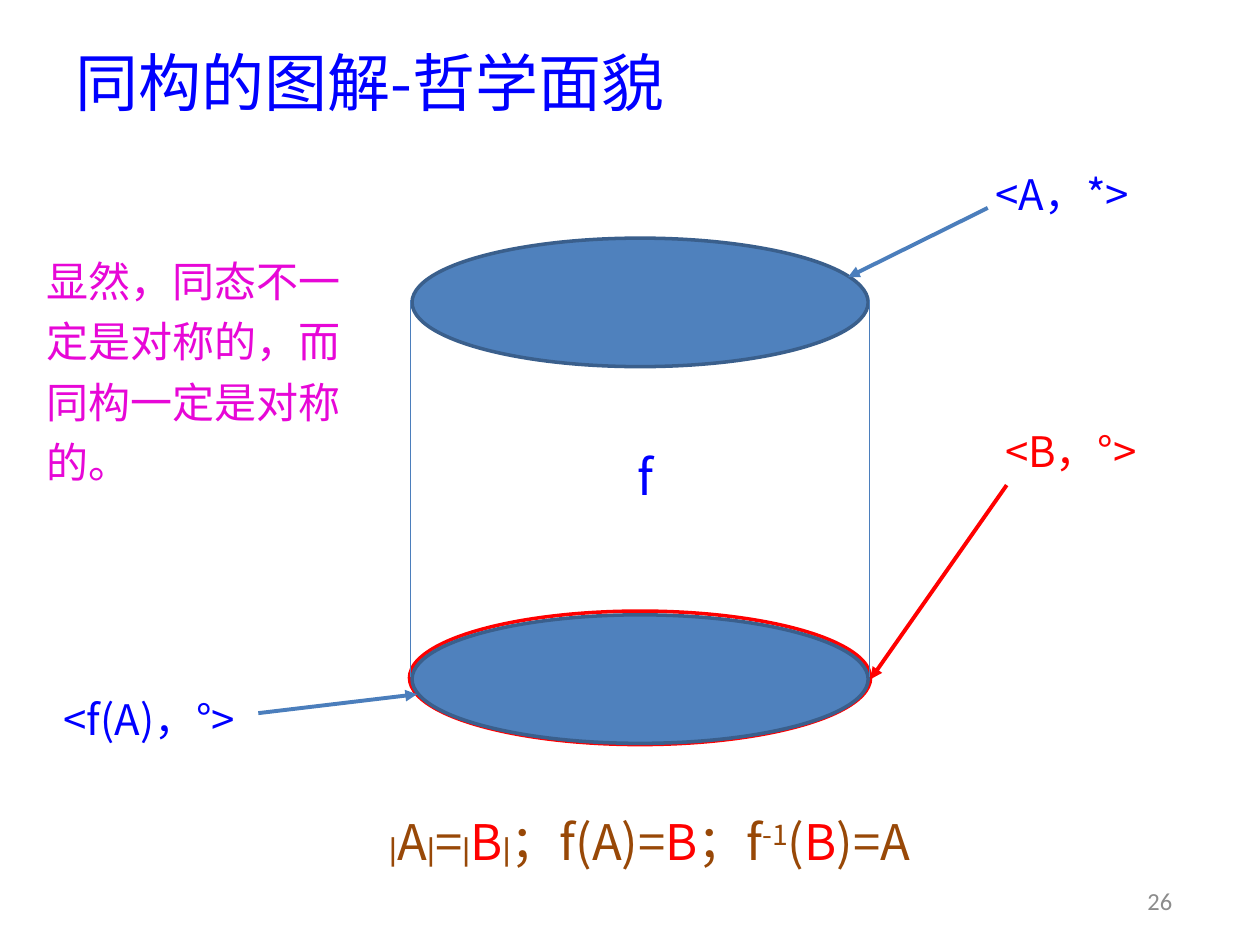
"""Build the slide that pictures an isomorphism as a cylinder between two sets."""
from pptx import Presentation
from pptx.dml.color import RGBColor as RGB
from pptx.enum.shapes import MSO_CONNECTOR as CONN, MSO_SHAPE as SHAPE
from pptx.enum.text import MSO_ANCHOR as ANCHOR, PP_ALIGN as ALIGN
from pptx.oxml.ns import qn
from pptx.util import Inches, Pt
from lxml.etree import SubElement

COLORS = {"blue": "0000FF", "red": "FF0000", "brown": "984807", "pink": "E707D7",
          "gray": "8C8C8C", "disc": "4F81BD", "rim": "3A5F8C", "line": "4B7EBC"}
CJK = "Noto Sans CJK SC"

prs = Presentation()
prs.slide_width, prs.slide_height = Inches(10), Inches(7.5)
col, row = prs.slide_width / 100, prs.slide_height / 75
s = prs.slides.add_slide(prs.slide_layouts[5])


def grid(x, y, w, h):
    return int(x * col), int(y * row), int(w * col), int(h * row)


def style(r, size, color, font=CJK):
    r.font.size = Pt(size)
    r.font.color.rgb = RGB.from_string(COLORS[color])
    r.font.name = font
    SubElement(r.font._element, qn("a:ea")).set("typeface", font)


title = s.shapes.title
title.left, title.top, title.width, title.height = grid(5, 2.2, 90, 8.5)
title.text_frame.text = "同构的图解-哲学面貌"
title.text_frame.vertical_anchor = ANCHOR.MIDDLE
title.text_frame.paragraphs[0].alignment = ALIGN.LEFT
style(title.text_frame.paragraphs[0].runs[0], 36, "blue")

discs = [((32.7, 18.9, 36.2, 10.2), "disc", "rim"),
         ((32.5, 48.5, 36.6, 10.6), None, "red"),
         ((32.7, 48.8, 36.2, 10.2), "disc", "rim")]
for box, fill, line in discs:
    sp = s.shapes.add_shape(SHAPE.OVAL, *grid(*box))
    sp.shadow.inherit = False
    if fill:
        sp.fill.solid()
        sp.fill.fore_color.rgb = RGB.from_string(COLORS[fill])
    else:
        sp.fill.background()
    sp.line.color.rgb = RGB.from_string(COLORS[line])
    sp.line.width = Pt(2)

lines = [((32.6, 23.8, 32.6, 53.7), "line", False),
         ((69, 23.8, 69, 53.7), "line", False),
         ((78.4, 16.5, 67.3, 22), "line", True),
         ((20.5, 56.6, 33.1, 55.1), "line", True),
         ((79.9, 38.5, 69.1, 53.9), "red", True)]
for ends, color, arrow in lines:
    c = s.shapes.add_connector(CONN.STRAIGHT, *grid(*ends))
    c.line.color.rgb = RGB.from_string(COLORS[color])
    c.line.width = Pt(2.25 if arrow else 0.75)
    if arrow:
        SubElement(c.line._get_or_add_ln(), qn("a:tailEnd")).set("type", "triangle")
    SubElement(c._element.spPr, qn("a:effectLst"))

BAR = ("|", 18, "brown", "Arial")
formula = [BAR, ("A", 28, "brown"), BAR, ("=", 28, "brown"), BAR, ("B", 28, "red"), BAR,
           ("；f(A)=", 28, "brown"), ("B", 28, "red"), ("；f", 28, "brown"),
           ("-1", 28, "brown"), ("(", 28, "brown"), ("B", 28, "red"), (")=A", 28, "brown")]
texts = [((1.2, 54.3, 21.3, 5.5), [("<f(A)，°>", 24, "blue")]),
         ((71.3, 12.6, 26, 5.5), [("<A，*>", 24, "blue")]),
         ((72, 33, 26, 5.5), [("<B，°>", 24, "red")]),
         ((44.5, 35.4, 13.4, 4.7), [("f", 28, "blue")]),
         ((28.7, 63.7, 45.7, 6.1), formula),
         ((2.7, 20.4, 26, 17.3), [("显然，同态不一定是对称的，而同构一定是对称的。", 24, "pink")]),
         ((89.1, 69.5, 5.9, 4), [("26", 14, "gray", "Calibri")])]
for box, runs in texts:
    tf = s.shapes.add_textbox(*grid(*box)).text_frame
    tf.word_wrap = True
    tf.vertical_anchor = ANCHOR.MIDDLE
    p = tf.paragraphs[0]
    p.alignment = ALIGN.CENTER
    if runs is formula:
        tf.margin_left = tf.margin_right = Inches(0.2)
    if len(runs[0][0]) > 10:
        p.alignment = ALIGN.LEFT
        p.line_spacing = 1.2
    for text, *look in runs:
        r = p.add_run()
        r.text = text
        style(r, *look)
        if text == "-1":
            r.font._element.set("baseline", "30000")

prs.save("out.pptx")
